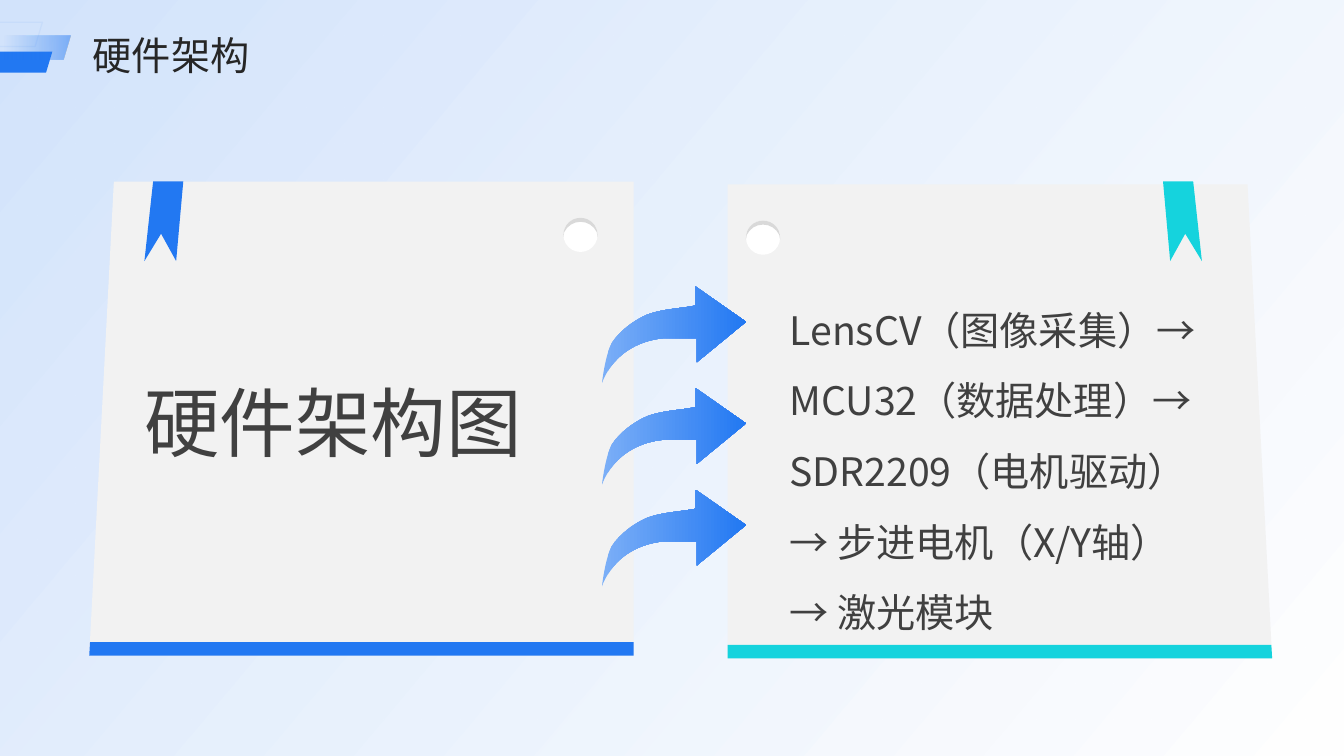
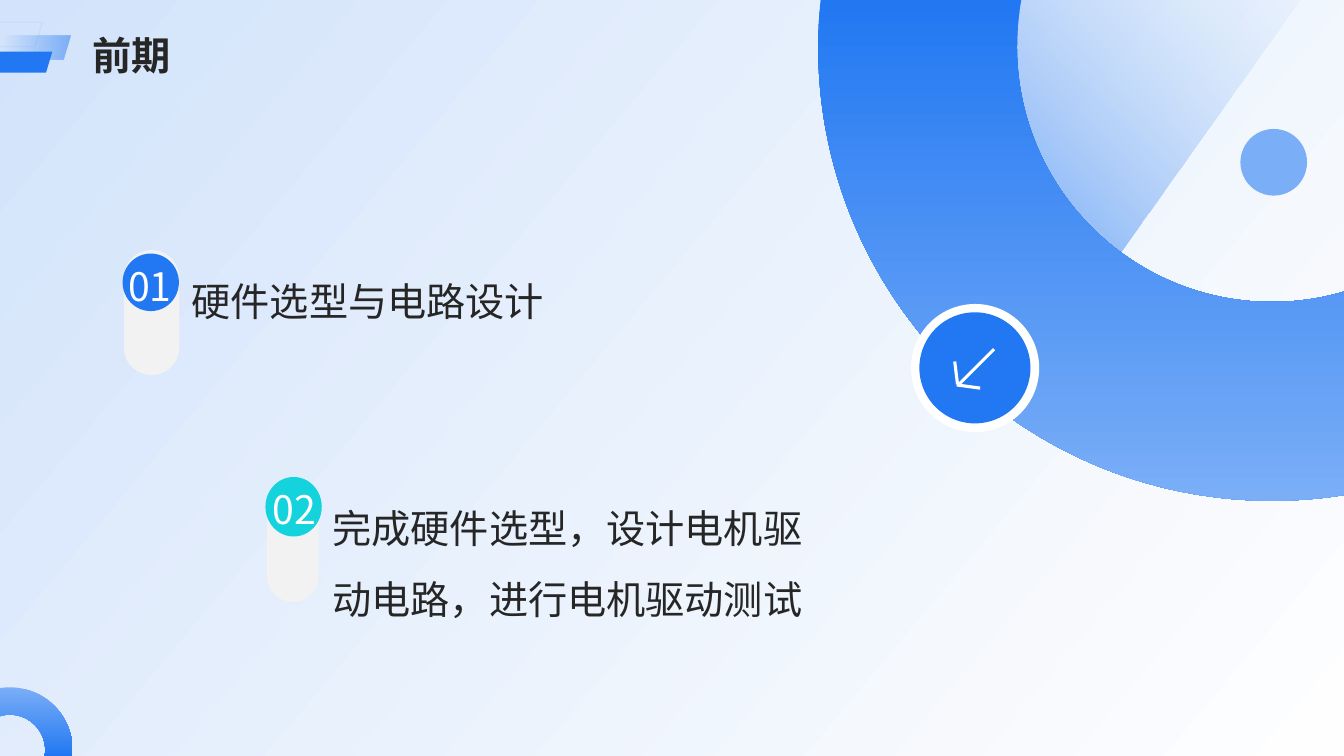
"""Build two slides on a hardware architecture and its first project phase."""
from dataclasses import dataclass
from math import asin, ceil, cos, floor, pi, sin, tan

from lxml.etree import SubElement
from pptx import Presentation
from pptx.dml.color import RGBColor as Rgb
from pptx.enum.shapes import MSO_CONNECTOR as Link, MSO_SHAPE as Form
from pptx.enum.text import MSO_ANCHOR as Anchor, PP_ALIGN as Align
from pptx.oxml import parse_xml
from pptx.oxml.ns import nsdecls, qn
from pptx.util import Cm, Pt


@dataclass(frozen=True)
class Theme:
    blue: str = "2278F2"
    sky: str = "7AAEF7"
    pale: str = "D3E4FC"
    teal: str = "15D3DD"
    paper: str = "F2F2F2"
    shade: str = "D9D9D9"
    white: str = "FFFFFF"
    ink: str = "262626"
    gray: str = "404040"
    font: str = "Noto Sans CJK SC"
    body: int = 28
    hero: int = 54


look = Theme()
wide, high = 33.87, 19.05


def draw(page, form, fill, box=None, adj=None):
    """Draw a preset in a box, or an outline of points and six-number curves."""
    if box:
        shape = page.shapes.add_shape(form, *map(Cm, box))
        if adj is not None:
            shape.adjustments[0] = adj
    else:
        dots = [(Cm(step[i]), Cm(step[i + 1])) for step in form for i in range(0, len(step), 2)]
        pen = page.shapes.build_freeform(*dots[0], scale=1.0)
        pen.add_line_segments(dots[1:], close=True)
        shape = pen.convert_to_shape()
        legs = iter(list(shape._element.iter(qn("a:lnTo"))))
        for step in form[1:]:
            leg = next(legs)
            if len(step) == 6:
                leg.addprevious(parse_xml(f'<a:cubicBezTo {nsdecls("a")}/>'))
                curve = leg.getprevious()
                for part in (leg, next(legs), next(legs)):
                    curve.append(part[0])
                    part.getparent().remove(part)
    shape.shadow.inherit = False
    shape.line.fill.background()
    if fill is None:
        shape.fill.background()
    elif isinstance(fill, str):
        shape.fill.solid()
        shape.fill.fore_color.rgb = Rgb.from_string(fill)
    else:
        turn, *stops = fill
        marks = "".join(
            f'<a:gs pos="{pos * 1000}"><a:srgbClr val="{tint}">'
            f'<a:alpha val="{alpha * 1000}"/></a:srgbClr></a:gs>'
            for pos, tint, alpha in stops)
        shape._element.spPr.insert(2, parse_xml(
            f'<a:gradFill {nsdecls("a")} rotWithShape="1"><a:gsLst>{marks}</a:gsLst>'
            f'<a:lin ang="{turn * 60000}" scaled="0"/></a:gradFill>'))
    return shape


def write(page, box, text, size=look.body, tint=look.ink, bold=False,
          space=1.5, align=Align.LEFT, anchor=Anchor.TOP):
    """Write one paragraph in a text box without margins."""
    frame = page.shapes.add_textbox(*map(Cm, box)).text_frame
    frame.word_wrap = True
    frame.vertical_anchor = anchor
    frame.margin_left = frame.margin_right = frame.margin_top = frame.margin_bottom = 0
    para = frame.paragraphs[0]
    para.alignment, para.line_spacing = align, space
    run = para.add_run()
    run.text = text
    run.font.size, run.font.bold = Pt(size), bold
    run.font.color.rgb = Rgb.from_string(tint)
    run.font.name = look.font
    SubElement(run._r.get_or_add_rPr(), qn("a:ea")).set("typeface", look.font)


deck = Presentation()
deck.slide_width, deck.slide_height = Cm(wide), Cm(high)
plan, phase = pages = [deck.slides.add_slide(deck.slide_layouts[6]) for _ in range(2)]

for page in pages:
    draw(page, Form.RECTANGLE, (40, (0, look.pale, 100), (100, look.white, 85)),
         (0, 0, wide, high))

flag = [(0, 0), (0.18, 2.01), (0.56, 1.32), (0.98, 2.01), (0.76, 0)]
rim = [(0, 0), (0.24, 0, 0.43, 0.19, 0.43, 0.43), (0.43, 0.48), (0.41, 0.36),
       (0.33, 0.2, 0.18, 0.1, 0, 0.1), (-0.18, 0.1, -0.33, 0.2, -0.41, 0.36),
       (-0.43, 0.48), (-0.43, 0.43), (-0.43, 0.19, -0.24, 0, 0, 0)]
for side, edge, top, hole, tag, tint in (
        (-1, 15.97, 4.58, 14.63, 4.62, look.blue),
        (1, 18.34, 4.65, 19.23, 29.31, look.teal)):
    base = top + 11.94
    card = [(0, top), (13.1, top), (13.72, base), (0, base)]
    band = [(0, base - 0.34), (13.7, base - 0.34), (13.72, base), (0, base)]
    for form, fill in ((card, look.paper), (band, tint)):
        draw(plan, [(edge + side * x, y) for x, y in form], fill)
    draw(plan, Form.OVAL, look.white, (hole - 0.43, top + 0.91, 0.86, 0.86))
    start = (hole, top + 0.91)
    draw(plan, [tuple(v + start[i % 2] for i, v in enumerate(step)) for step in rim],
         look.shade)
    draw(plan, [(tag + side * x, 4.57 + y) for x, y in flag], tint)

arrow = [(0.25, 1.42), (0.08, 1.73, 0, 2.44, 0, 2.44), (0, 2.44, 0.3, 1.42, 1.57, 1.3),
         (2.39, 1.3), (2.39, 1.91), (3.63, 0.89), (2.36, 0), (2.36, 0.48),
         (1.96, 0.56, 1.55, 0.56, 1.14, 0.71), (0.79, 0.86, 0.43, 1.14, 0.25, 1.42)]
for row in range(3):
    start = (15.17, 7.22 + 2.56 * row)
    draw(plan, [tuple(v + start[i % 2] for i, v in enumerate(step)) for step in arrow],
         (0, (2, look.sky, 100), (100, look.blue, 100)))

write(plan, (3.63, 8.33, 10.74, 5.28), "硬件架构图", size=look.hero, tint=look.gray)
write(plan, (19.9, 7.12, 10.46, 8.64),
      "LensCV（图像采集）→ MCU32（数据处理）→ SDR2209（电机驱动）→ 步进电机（X/Y轴）→ 激光模块",
      tint=look.gray)

wedge = draw(phase, Form.ISOSCELES_TRIANGLE, (45, (0, look.blue, 100), (100, look.pale, 25)),
             (21.34, 0, 11.43, 8.03))
wedge._element.spPr.find(qn("a:xfrm")).set("flipV", "1")

for mark, text, tint, pill, disc, spot, body in (
        ("01", "硬件选型与电路设计", look.blue,
         (3.12, 6.3, 1.4), (3.09, 6.39, 1.42, 1.45), (3.09, 6.93), (4.83, 6.4)),
        ("02", "完成硬件选型，设计电机驱动电路，进行电机驱动测试", look.teal,
         (6.73, 12.02, 1.3), (6.69, 12.02, 1.42, 1.5), (6.73, 12.53), (8.38, 12.12))):
    draw(phase, Form.ROUNDED_RECTANGLE, look.paper, (*pill, 3.15), adj=0.5)
    draw(phase, Form.OVAL, tint, disc)
    write(phase, (*body, 12.62, 3.96), text)
    write(phase, (*spot, 1.37, 0.56), mark, tint=look.white, space=1,
          align=Align.CENTER, anchor=Anchor.MIDDLE)

for x, y, radii, turn, head, tail, tints in (
        (32.06, 1.18, (11.44, 6.43), pi / 2, wide - 32.06, 1.18, (look.blue, look.sky)),
        (0.25, 18.9, (1.58, 0.89), -pi / 2, 0.25, high - 18.9, (look.sky, look.blue))):
    ring = []
    for r, way in zip(radii, (1, -1)):
        stops = [turn - asin(head / r), turn, turn + pi / 2, turn + pi / 2 + asin(tail / r)][::way]
        ring.append((x + r * cos(stops[0]), y + r * sin(stops[0])))
        for a, b in zip(stops, stops[1:]):
            k = 4 / 3 * tan((b - a) / 4)
            ring.append((x + r * (cos(a) - k * sin(a)), y + r * (sin(a) + k * cos(a)),
                         x + r * (cos(b) + k * sin(b)), y + r * (sin(b) - k * cos(b)),
                         x + r * cos(b), y + r * sin(b)))
    draw(phase, ring, (90, (0, tints[0], 100), (100, tints[1], 100)))

for x, y, size, tint in ((31.26, 3.25, 1.68, look.sky), (22.96, 7.66, 3.23, look.white),
                         (23.17, 7.87, 2.8, look.blue)):
    draw(phase, Form.OVAL, tint, (x, y, size, size))

for ends in ((25.05, 8.8, 24.13, 9.72), (24.06, 9.11, 24.13, 9.68), (24.7, 9.78, 24.11, 9.7)):
    line = phase.shapes.add_connector(Link.STRAIGHT, *map(Cm, ends))
    line.line.width = Pt(2.25)
    line.line.color.rgb = Rgb.from_string(look.white)
    SubElement(line._element.spPr, qn("a:effectLst"))

for page, text, bold in ((plan, "硬件架构", False), (phase, "前期", True)):
    frame = draw(page, Form.PARALLELOGRAM, None, (-0.23, 0.56, 1.3, 0.61), adj=0.3)
    frame.line.width = Pt(0.92)
    frame.line.color.rgb = Rgb.from_string(look.blue)
    tone = frame.line._ln.find(".//" + qn("a:srgbClr"))
    SubElement(tone, qn("a:alpha")).set("val", "5000")
    draw(page, Form.PARALLELOGRAM, look.blue, (-0.38, 1.3, 1.7, 0.53), adj=0.3)
    draw(page, Form.PARALLELOGRAM, (0, (23, look.blue, 0), (100, look.blue, 50)),
         (-0.38, 0.9, 2.15, 0.61), adj=0.3)
    write(page, (2.34, 0.5, 29.85, 1.4), text, bold=bold, space=1.3, anchor=Anchor.MIDDLE)

deck.save("out.pptx")
